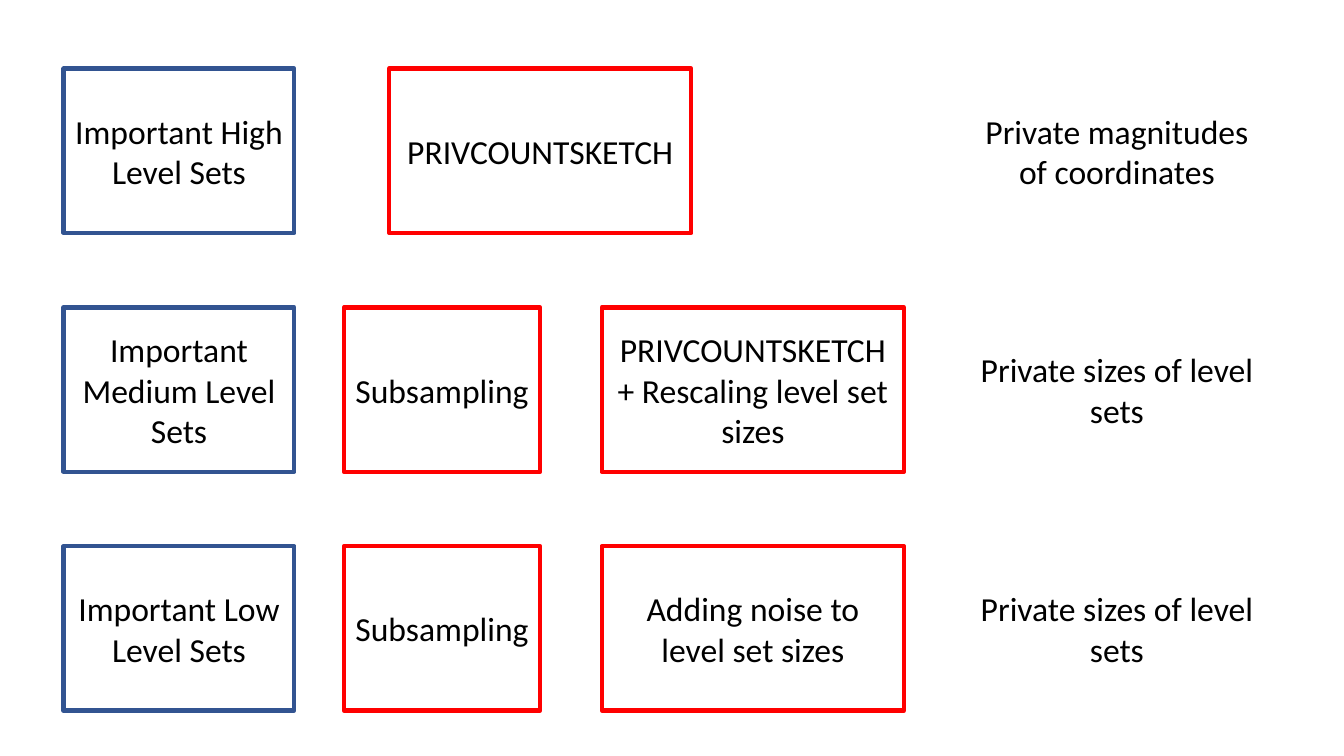
from pptx import Presentation
from pptx.dml.color import RGBColor
from pptx.enum.shapes import MSO_SHAPE
from pptx.enum.text import MSO_ANCHOR, PP_ALIGN
from pptx.util import Pt

RECT = MSO_SHAPE.RECTANGLE
MIDDLE = MSO_ANCHOR.MIDDLE
CENTER = PP_ALIGN.CENTER
COLORS = {"level": "325491", "step": "FF0000", "text": "000000"}
LEFT, TOP, HEIGHT, PITCH = 45.4, 49, 117.4, 170.6
LEVEL_W, SAMPLE_W, WIDE_W = 164.9, 140.4, 216
SKETCH_X, SAMPLE_X, SIZE_X, RESULT_X = 232.5, 200.1, 384.4, 644.4

ROWS = [
    ("Important High Level Sets",
     [(SKETCH_X, WIDE_W, "PRIVCOUNTSKETCH")],
     "Private magnitudes of coordinates"),
    ("Important Medium Level Sets",
     [(SAMPLE_X, SAMPLE_W, "Subsampling"),
      (SIZE_X, WIDE_W, "PRIVCOUNTSKETCH + Rescaling level set sizes")],
     "Private sizes of level sets"),
    ("Important Low Level Sets",
     [(SAMPLE_X, SAMPLE_W, "Subsampling"),
      (SIZE_X, WIDE_W, "Adding noise to level set sizes")],
     "Private sizes of level sets"),
]


def add_label(shape, text):
    """Write centred text into a shape."""
    frame = shape.text_frame
    frame.word_wrap = True
    frame.vertical_anchor = MIDDLE
    para = frame.paragraphs[0]
    para.alignment = CENTER
    run = para.add_run()
    run.text = text
    run.font.name = "Calibri"
    run.font.size = Pt(24)
    run.font.color.rgb = RGBColor.from_string(COLORS["text"])


def add_box(slide, box, text, color):
    """Draw a hollow outlined box with a label."""
    shape = slide.shapes.add_shape(RECT, *map(Pt, box))
    shape.shadow.inherit = False
    shape.fill.background()
    shape.line.color.rgb = RGBColor.from_string(COLORS[color])
    shape.line.width = Pt(3)
    add_label(shape, text)


def add_row(slide, left, top, height, row):
    """Draw one level set, its steps and its result."""
    level, steps, result = row
    add_box(slide, (left, top, LEVEL_W, height), level, "level")
    for shift, width, text in steps:
        add_box(slide, (left + shift, top, width, height), text, "step")
    place = (left + RESULT_X, top, WIDE_W, height)
    add_label(slide.shapes.add_textbox(*map(Pt, place)), result)


def main():
    """Build and save the slide."""
    deck = Presentation()
    deck.slide_width, deck.slide_height = Pt(960), Pt(540)
    slide = deck.slides.add_slide(deck.slide_layouts[6])
    for index, row in enumerate(ROWS):
        add_row(slide, LEFT, TOP + index * PITCH, HEIGHT, row)
    deck.save("out.pptx")


if __name__ == "__main__":
    main()
